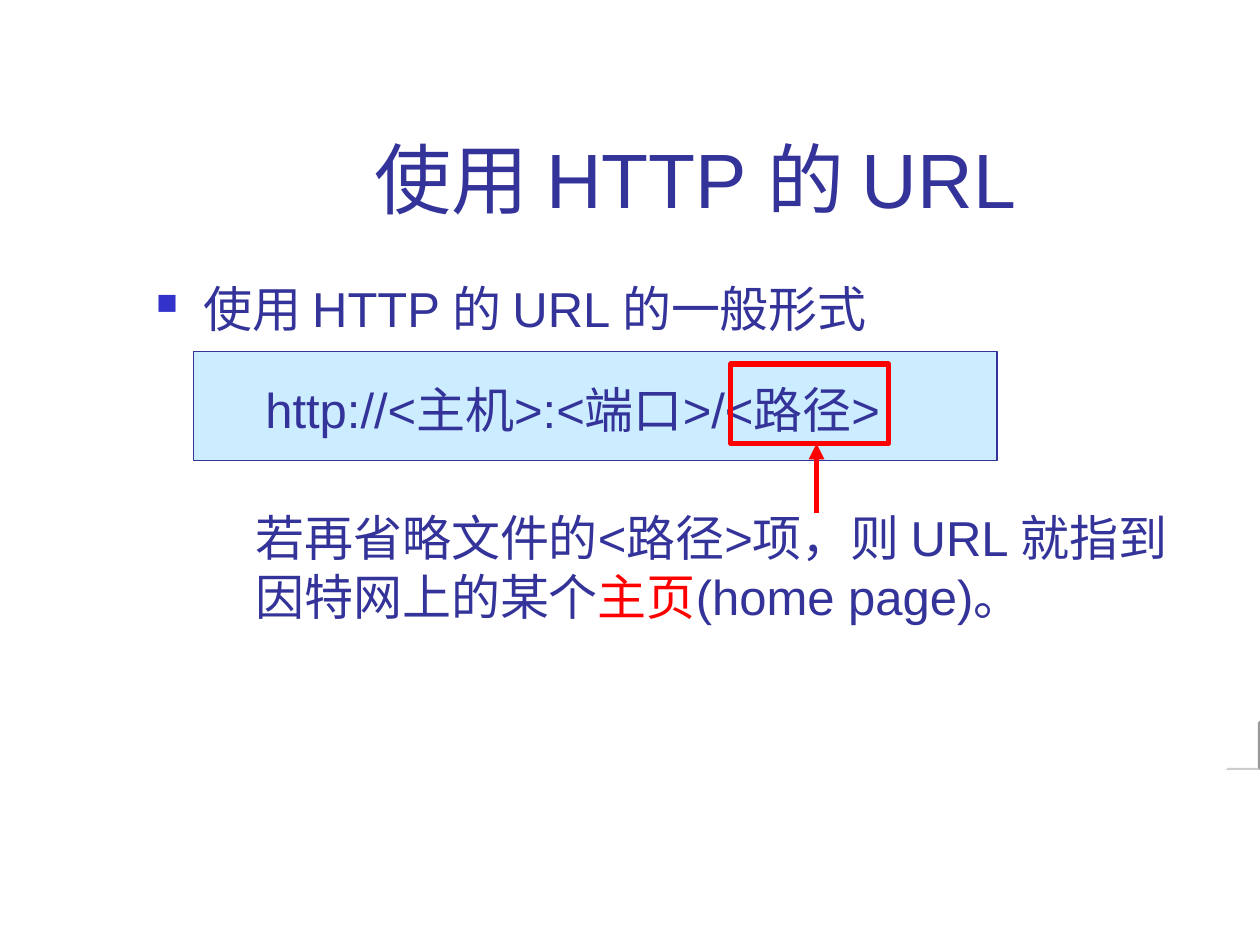
import pptx
import pptx.dml.color
import pptx.enum.shapes
import pptx.enum.text
import pptx.oxml
import pptx.oxml.ns
import pptx.util
from pptx.util import Cm

SHAPES = pptx.enum.shapes.MSO_SHAPE
INK, RED, PALE, WHITE, BULLET = "333399", "FF0000", "CCECFF", "FFFFFF", "3333CC"


def rgb(value):
    return pptx.dml.color.RGBColor.from_string(value)


def add_span(para, text, size=28, color=INK):
    span = para.add_run()
    span.text = text
    span.font.name = "Arial"
    span.font.size = pptx.util.Pt(size)
    span.font.color.rgb = rgb(color)


def add_text_box(page, left, top, width, height):
    frame = page.shapes.add_textbox(Cm(left), Cm(top), Cm(width), Cm(height)).text_frame
    frame.word_wrap = True
    return frame


def add_block(page, kind, left, top, width, height, fill=None, line=None, weight=0.75):
    """Add a preset shape; without a fill or line colour that part is left clear."""
    block = page.shapes.add_shape(kind, Cm(left), Cm(top), Cm(width), Cm(height))
    block.shadow.inherit = False
    if fill:
        block.fill.solid()
        block.fill.fore_color.rgb = rgb(fill)
    else:
        block.fill.background()
    if line:
        block.line.color.rgb = rgb(line)
        block.line.width = pptx.util.Pt(weight)
    else:
        block.line.fill.background()
    return block


def set_indent(para, margin, hanging=0, bullet=None):
    properties = para._p.get_or_add_pPr()
    properties.set("marL", str(Cm(margin)))
    properties.set("indent", str(-Cm(hanging)))
    if bullet:
        namespace = pptx.oxml.ns.nsdecls("a")
        for element in (
            f'<a:buClr {namespace}><a:srgbClr val="{BULLET}"/></a:buClr>',
            f'<a:buSzPct {namespace} val="60000"/>',
            f'<a:buChar {namespace} char="{bullet}"/>',
        ):
            properties.append(pptx.oxml.parse_xml(element))


def add_title(page, left, top, width, height):
    title = page.shapes.title
    title.left, title.top, title.width, title.height = map(Cm, (left, top, width, height))
    title.text_frame.vertical_anchor = pptx.enum.text.MSO_ANCHOR.BOTTOM
    para = title.text_frame.paragraphs[0]
    para.alignment = pptx.enum.text.PP_ALIGN.CENTER
    add_span(para, "使用 HTTP 的 URL", 44)


def add_url_form(page, left, top, width, height):
    """Add the bullet line with the URL pattern on a pale panel below it."""
    add_block(page, SHAPES.RECTANGLE, left + 1, top + 1.6, 16.2, 2.2, PALE, INK)
    frame = add_text_box(page, left, top, width, height)
    heading = frame.paragraphs[0]
    set_indent(heading, 0.95, 0.95, "■")
    add_span(heading, "使用 HTTP 的 URL 的一般形式")
    pattern = frame.add_paragraph()
    set_indent(pattern, 2.2)
    pattern.space_before = pptx.util.Pt(24)
    add_span(pattern, "http://<主机>:<端口>/<路径>")


def add_path_marker(page, left, top, width, height):
    """Frame the path part of the URL and point at it from below."""
    add_block(page, SHAPES.RECTANGLE, left, top, width, height, None, RED, 3)
    x, tip = Cm(left + 1.73), Cm(top + height)
    arrow = page.shapes.add_connector(
        pptx.enum.shapes.MSO_CONNECTOR.STRAIGHT, x, tip + Cm(1.4), x, tip)
    arrow.line.color.rgb = rgb(RED)
    arrow.line.width = pptx.util.Pt(3)
    namespace = pptx.oxml.ns.nsdecls("a")
    arrow.line._get_or_add_ln().append(
        pptx.oxml.parse_xml(f'<a:tailEnd {namespace} type="triangle"/>'))
    arrow._element.spPr.append(pptx.oxml.parse_xml(f"<a:effectLst {namespace}/>"))


def add_explanation(page, left, top, width, height):
    para = add_text_box(page, left, top, width, height).paragraphs[0]
    add_span(para, "若再省略文件的<路径>项，则 URL 就指到因特网上的某个")
    add_span(para, "主页", color=RED)
    add_span(para, "(home page)。")


def add_corner_button(page, left, top, width, height):
    button = add_block(page, SHAPES.BEVEL, left, top, width, height, WHITE)
    button.adjustments[0] = 0.06


def main():
    deck = pptx.Presentation()
    deck.slide_width, deck.slide_height = Cm(25.4), Cm(19.05)
    page = deck.slides.add_slide(deck.slide_layouts[5])
    add_title(page, 3.2, 0.58, 21.64, 4.06)
    add_url_form(page, 2.9, 5.49, 21.6, 3.8)
    add_path_marker(page, 14.73, 7.34, 3.18, 1.6)
    add_explanation(page, 4.9, 10.11, 19, 2.64)
    add_corner_button(page, 24.71, 14.53, 0.69, 0.99)
    deck.save("out.pptx")


if __name__ == "__main__":
    main()
